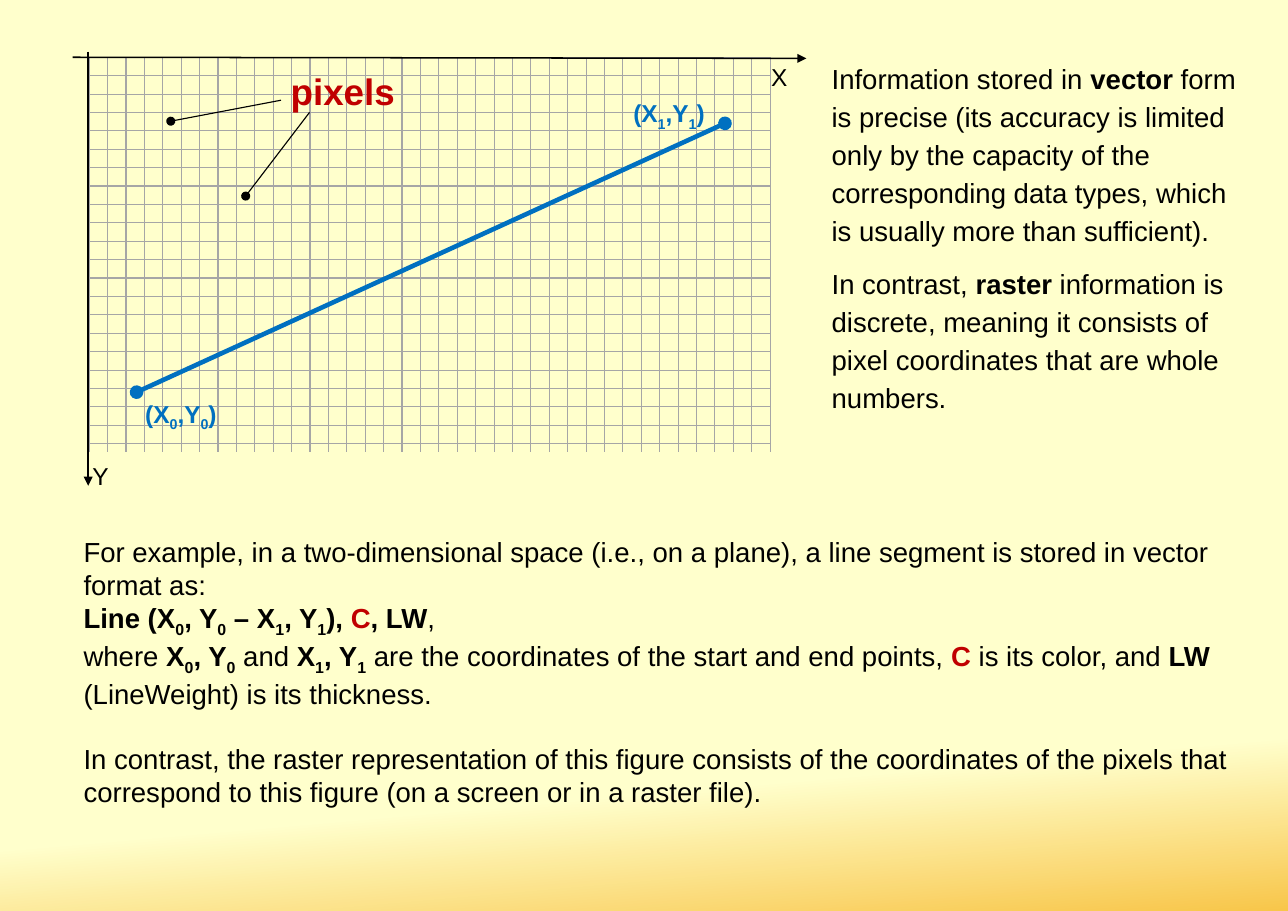
from lxml.etree import SubElement
from pptx import Presentation
from pptx.dml.color import RGBColor
from pptx.enum.shapes import MSO_CONNECTOR
from pptx.enum.text import MSO_AUTO_SIZE as AutoSize
from pptx.oxml.ns import qn
from pptx.util import Inches, Pt

BLACK = RGBColor(0x00, 0x00, 0x00)
RED = RGBColor(0xC0, 0x00, 0x00)
BLUE = RGBColor(0x00, 0x70, 0xC0)
GRID_GREY = RGBColor(0xA6, 0xA6, 0xA6)
CREAM = RGBColor(0xFF, 0xFF, 0xCC)
AMBER = RGBColor(0xF8, 0xC6, 0x4A)

GRID_LEFT, GRID_TOP, GRID_RIGHT, GRID_BOTTOM = 0.81, 0.52, 6.99, 4.10
COLUMNS, ROWS = 37, 21
PIXEL = (GRID_RIGHT - GRID_LEFT) / COLUMNS

# Run styles: b = bold, s = subscript, r = red
START_POINT = [("X", "b"), ("0", "bs"), (", Y", "b"), ("0", "bs")]
END_POINT = [("X", "b"), ("1", "bs"), (", Y", "b"), ("1", "bs")]

VECTOR_AND_RASTER = [
    [("Information stored in ", ""), ("vector", "b"),
     (" form is precise (its accuracy is limited only by the capacity of the "
      "corresponding data types, which is usually more than sufficient).", "")],
    [("In contrast, ", ""), ("raster", "b"),
     (" information is discrete, meaning it consists of pixel coordinates "
      "that are whole numbers.", "")],
]
SEGMENT_EXAMPLE = [
    [("For example, in a two-dimensional space (i.e., on a plane), a line "
      "segment is stored in vector format as:", "")],
    [("Line (", "b"), *START_POINT, (" – ", "b"), *END_POINT, ("), ", "b"),
     ("C", "br"), (", LW", "b"), (",", "")],
    [("where ", ""), *START_POINT, (" and ", ""), *END_POINT,
     (" are the coordinates of the start and end points, ", ""), ("C", "br"),
     (" is its color, and ", ""), ("LW", "b"),
     (" (LineWeight) is its thickness.", "")],
    [("In contrast, the raster representation of this figure consists of the "
      "coordinates of the pixels that correspond to this figure (on a screen "
      "or in a raster file).", "")],
]


def paint_background(slide):
    fill = slide.background.fill
    fill.gradient()
    fill.gradient_angle = 275
    for stop, position, color in zip(fill.gradient_stops, (0.83, 1), (CREAM, AMBER)):
        stop.position = position
        stop.color.rgb = color


def add_line(slide, start, end, color, weight, head=None, tail=None):
    line = slide.shapes.add_connector(
        MSO_CONNECTOR.STRAIGHT, *(Inches(value) for value in (*start, *end)))
    line.line.color.rgb = color
    line.line.width = Pt(weight)
    properties = line._element.spPr
    outline = properties.find(qn("a:ln"))
    for tag, kind in (("a:headEnd", head), ("a:tailEnd", tail)):
        if kind:
            SubElement(outline, qn(tag)).set("type", kind)
    SubElement(properties, qn("a:effectLst"))


def add_run(paragraph, text, style, size, color):
    run = paragraph.add_run()
    run.text = text
    run.font.name = "Arial"
    run.font.size = Pt(size)
    run.font.bold = "b" in style
    run.font.color.rgb = RED if "r" in style else color
    if "s" in style:
        run._r.get_or_add_rPr().set("baseline", "-25000")


def add_text(slide, box, paragraphs, size, color=BLACK, spaced=True,
             auto_size=AutoSize.NONE):
    """Add a text box and return its paragraphs; spaced means loose line spacing."""
    frame = slide.shapes.add_textbox(*(Inches(value) for value in box)).text_frame
    frame.word_wrap = True
    frame.auto_size = auto_size
    for index, runs in enumerate(paragraphs):
        paragraph = frame.add_paragraph() if index else frame.paragraphs[0]
        if spaced:
            paragraph.line_spacing = 1.15
            paragraph.space_after = Pt(10)
        for text, style in runs:
            add_run(paragraph, text, style, size, color)
    return frame.paragraphs


def add_grid(slide):
    for column in range(COLUMNS + 1):
        x = GRID_LEFT + column * PIXEL
        add_line(slide, (x, GRID_TOP), (x, GRID_BOTTOM), GRID_GREY, 0.75)
    for row in range(ROWS + 1):
        y = GRID_TOP + row * PIXEL
        add_line(slide, (GRID_LEFT, y), (GRID_RIGHT, y), GRID_GREY, 0.75)


def add_axes(slide):
    add_line(slide, (0.66, 0.52), (7.32, 0.53), BLACK, 1, tail="triangle")
    add_line(slide, (0.8, 0.47), (0.8, 4.41), BLACK, 1, tail="triangle")
    for name, left, top in (("X", 6.9, 0.47), ("Y", 0.74, 4.1)):
        add_text(slide, (left, top, 0.42, 0.5), [[(name, "")]], 16)


def add_segment(slide):
    add_line(slide, (1.24, 3.56), (6.58, 1.12), BLUE, 3, "oval", "oval")
    for index, left, top in (("0", 1.22, 3.53), ("1", 5.65, 0.8)):
        label = [("(X", "b"), (index, "bs"), (",Y", "b"), (index, "bs"), (")", "b")]
        add_text(slide, (left, top, 0.97, 0.44), [label], 16, BLUE)


def add_pixel_callout(slide):
    for pixel, label_edge in (((2.23, 1.78), (2.81, 1.02)), ((1.55, 1.1), (2.55, 0.91))):
        add_line(slide, pixel, label_edge, BLACK, 0.75, head="oval")
    add_text(slide, (2.54, 0.52, 1.93, 0.44), [[("pixels", "b")]], 24, RED)


def main():
    deck = Presentation()
    deck.slide_width, deck.slide_height = Inches(11.69), Inches(8.27)
    slide = deck.slides.add_slide(deck.slide_layouts[6])
    paint_background(slide)
    add_grid(slide)
    add_segment(slide)
    add_axes(slide)
    add_pixel_callout(slide)
    example = add_text(slide, (0.66, 4.81, 10.72, 2.52), SEGMENT_EXAMPLE, 18,
                       spaced=False, auto_size=AutoSize.SHAPE_TO_FIT_TEXT)
    example[-1].space_before = Pt(21)
    add_text(slide, (7.45, 0.47, 3.94, 3.35), VECTOR_AND_RASTER, 18,
             auto_size=AutoSize.SHAPE_TO_FIT_TEXT)
    deck.save("out.pptx")


if __name__ == "__main__":
    main()
